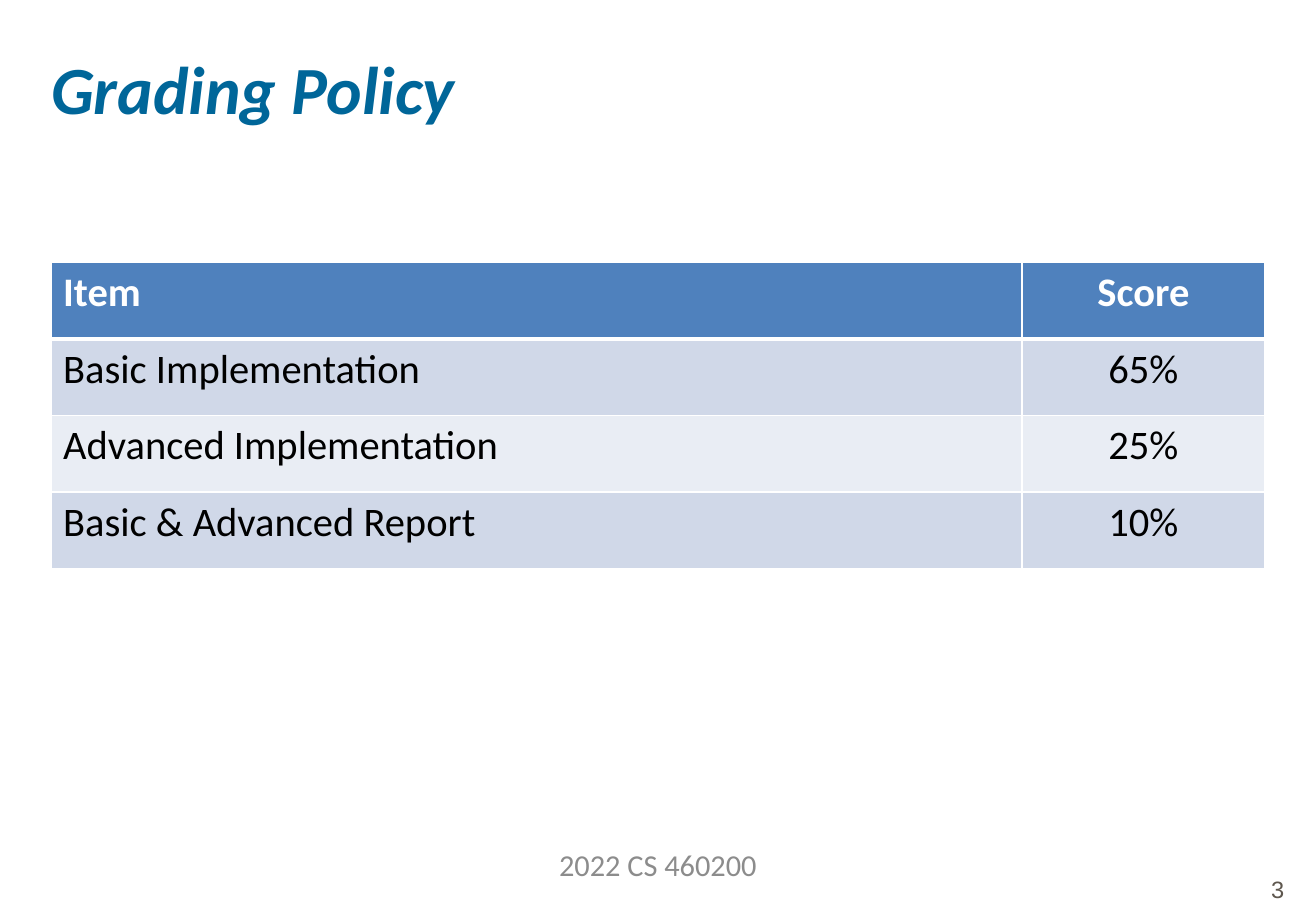
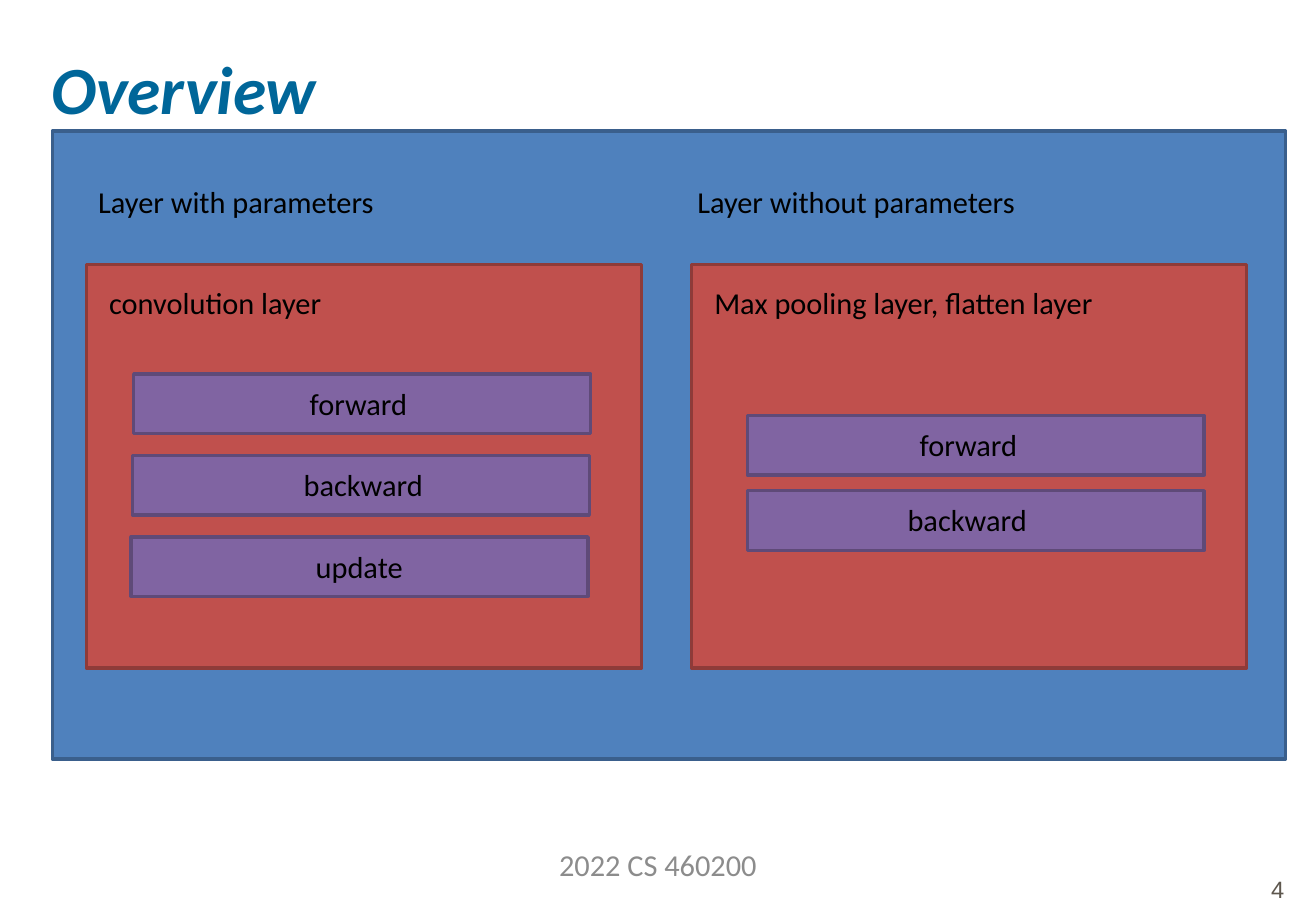
from dataclasses import dataclass

from lxml.etree import SubElement
from pptx import Presentation
from pptx.dml.color import RGBColor as RGB
from pptx.enum.shapes import MSO_SHAPE as Shape
from pptx.enum.text import MSO_ANCHOR as Anchor, MSO_AUTO_SIZE as Fit, PP_ALIGN as Align
from pptx.oxml.ns import qn
from pptx.util import Emu, Pt

SCALE = 9144  # EMU per px, 100 px to the inch


@dataclass(frozen=True)
class Theme:
    font: str = "Calibri"
    num_font: str = "Arial"
    title: str = "006699"
    foot: str = "8C8C8C"
    num: str = "5E574E"
    ink: str = "000000"
    white: str = "FFFFFF"
    blue: str = "4F81BD"
    blue_edge: str = "3A5F8C"
    red: str = "C0504D"
    red_edge: str = "8E3B39"
    plum: str = "8064A2"
    plum_edge: str = "5F4A78"
    bands: tuple = ("D0D8E8", "E9EDF4")
    title_size: int = 40
    cell_size: int = 24
    text_size: int = 18
    num_size: int = 14


@dataclass(frozen=True)
class Label:
    text: str
    left: int
    width: int


@dataclass(frozen=True)
class Bar:
    left: int
    label: Label


@dataclass(frozen=True)
class Panel:
    left: int
    head: Label
    name: Label
    top: int   # top of the first bar
    step: int  # distance from bar to bar
    bars: tuple


T = Theme()
FOOT = "2022 CS 460200"
GRADES = [
    ("Item", "Score"),
    ("Basic Implementation", "65%"),
    ("Advanced Implementation", "25%"),
    ("Basic & Advanced Report", "10%"),
]
PANELS = [
    Panel(71, Label("Layer with parameters", 71, 249),
          Label("convolution layer", 80, 197), 308, 67, (
              Bar(110, Label("forward", 245, 101)),
              Bar(109, Label("backward", 240, 119)),
              Bar(108, Label("update", 250, 93)))),
    Panel(569, Label("Layer without parameters", 564, 290),
          Label("Max pooling layer, flatten layer", 578, 336), 342, 62, (
              Bar(615, Label("forward", 747, 101)),
              Bar(615, Label("backward", 737, 119)))),
]


def px(n: int) -> Emu:
    return Emu(n * SCALE)


def write(frame, text: str, *, size: int = T.text_size, color: str = T.ink,
          font: str = T.font, bold: bool = False, italic: bool = False,
          align=Align.LEFT, space=None) -> None:
    para = frame.paragraphs[0]
    para.alignment = align
    if space:
        para.line_spacing = Pt(space)
    run = para.add_run()
    run.text = text
    face = run.font
    face.name, face.size = font, Pt(size)
    face.bold, face.italic = bold, italic
    face.color.rgb = RGB.from_string(color)


def trim(frame, left: int = 0) -> None:
    """Wrapped frame without insets, apart from an optional left one."""
    frame.word_wrap = True
    frame.auto_size = Fit.SHAPE_TO_FIT_TEXT
    frame.vertical_anchor = Anchor.TOP
    frame.margin_left = px(left)
    frame.margin_top = frame.margin_right = frame.margin_bottom = 0


def add_text(shapes, left: int, top: int, width: int, height: int):
    return shapes.add_textbox(px(left), px(top), px(width), px(height)).text_frame


def add_label(shapes, label: Label, top: int) -> None:
    frame = add_text(shapes, label.left, top, label.width, 40)
    frame.word_wrap = False
    frame.auto_size = Fit.SHAPE_TO_FIT_TEXT
    write(frame, label.text)


def add_box(shapes, left: int, top: int, width: int, height: int,
            fill: str, edge: str) -> None:
    box = shapes.add_shape(Shape.RECTANGLE, px(left), px(top), px(width), px(height))
    box.shadow.inherit = False
    box.fill.solid()
    box.fill.fore_color.rgb = RGB.from_string(fill)
    box.line.color.rgb = RGB.from_string(edge)
    box.line.width = Pt(2)


def add_page(deck, title: str):
    page = deck.slides.add_slide(deck.slide_layouts[5])
    head = page.shapes.title
    head.left, head.top, head.width, head.height = map(px, (42, 39, 999, 69))
    trim(head.text_frame)
    write(head.text_frame, title, size=T.title_size, color=T.title,
          bold=True, italic=True)
    return page


def add_foot(page, num: int) -> None:
    frame = add_text(page.shapes, 368, 697, 347, 38)
    trim(frame)
    write(frame, FOOT, color=T.foot, align=Align.CENTER)
    frame = add_text(page.shapes, 1042, 721, 36, 25)
    trim(frame, left=4)
    write(frame, str(num), size=T.num_size, color=T.num, font=T.num_font, space=16.5)


def set_edges(cell, top: int, low: int) -> None:
    """White cell borders; top and low are widths in points."""
    props = cell._tc.get_or_add_tcPr()
    for i, (side, width) in enumerate((("L", 1), ("R", 1), ("T", top), ("B", low))):
        line = SubElement(props, qn(f"a:ln{side}"), w=str(Pt(width)))
        fill = SubElement(line, qn("a:solidFill"))
        SubElement(fill, qn("a:srgbClr"), val=T.white)
        props.insert(i, line)  # borders come before the fill


def add_grades(page) -> None:
    rows = len(GRADES)
    grid = page.shapes.add_table(rows, 2, px(42), px(216), px(999), px(63 * rows)).table
    for col, width in zip(grid.columns, (799, 200)):
        col.width = px(width)
    for r, row in enumerate(GRADES):
        grid.rows[r].height = px(63)
        head = r == 0
        for c, text in enumerate(row):
            cell = grid.cell(r, c)
            cell.fill.solid()
            cell.fill.fore_color.rgb = RGB.from_string(
                T.blue if head else T.bands[(r - 1) % 2])
            set_edges(cell, 3 if r == 1 else 1, 3 if head else 1)
            write(cell.text_frame, text, size=T.cell_size, bold=head,
                  color=T.white if head else T.ink,
                  align=Align.CENTER if c else Align.LEFT)


def add_panel(page, panel: Panel) -> None:
    add_label(page.shapes, panel.head, 146)
    group = page.shapes.add_group_shape().shapes
    add_box(group, panel.left, 218, 457, 332, T.red, T.red_edge)
    add_label(group, panel.name, 229)
    for i, bar in enumerate(panel.bars):
        top = panel.top + i * panel.step
        add_box(group, bar.left, top, 376, 49, T.plum, T.plum_edge)
        add_label(group, bar.label, top + 4)


def main() -> None:
    deck = Presentation()
    deck.slide_width, deck.slide_height = px(1083), px(750)

    # Grading table
    page = add_page(deck, "Grading Policy")
    add_grades(page)
    add_foot(page, 3)

    # Layer overview
    page = add_page(deck, "Overview")
    add_box(page.shapes, 43, 108, 1015, 517, T.blue, T.blue_edge)
    for panel in PANELS:
        add_panel(page, panel)
    add_foot(page, 4)

    deck.save("out.pptx")


if __name__ == "__main__":
    main()
